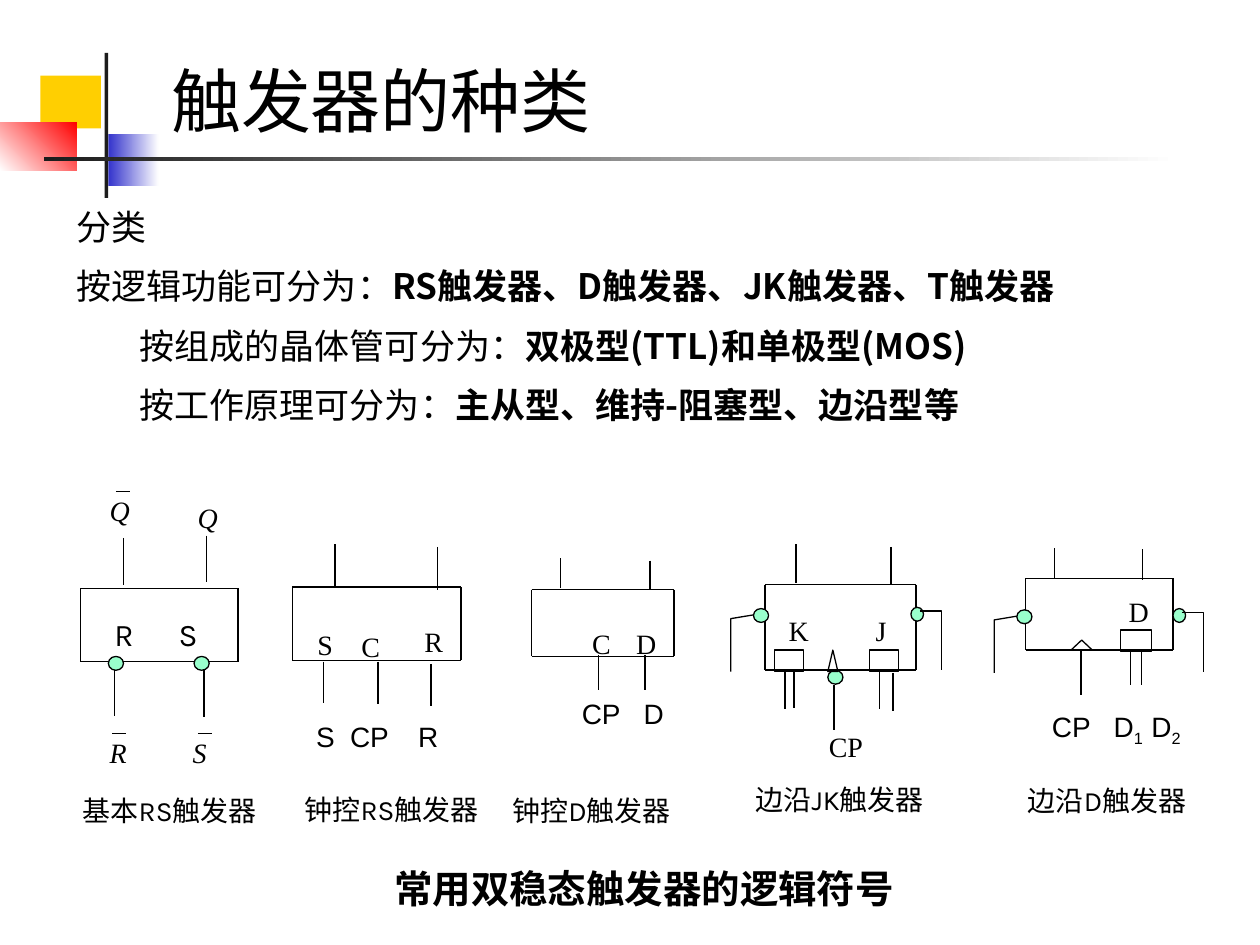
from dataclasses import dataclass

from lxml import etree
from pptx import Presentation
from pptx.dml.color import RGBColor
from pptx.enum.shapes import MSO_CONNECTOR, MSO_SHAPE
from pptx.enum.text import MSO_ANCHOR
from pptx.oxml.ns import qn
from pptx.util import Inches, Pt

RECT, OVAL = MSO_SHAPE.RECTANGLE, MSO_SHAPE.OVAL
TRIANGLE = MSO_SHAPE.ISOSCELES_TRIANGLE
STRAIGHT = MSO_CONNECTOR.STRAIGHT
TOP, BOTTOM = MSO_ANCHOR.TOP, MSO_ANCHOR.BOTTOM


@dataclass(frozen=True)
class Theme:
    ink: str = "000000"
    paper: str = "FFFFFF"
    dark: str = "1C1C1C"
    yellow: str = "FFCF01"
    blue: str = "3333CC"
    red: str = "FF0000"
    bubble: str = "99FFCC"
    sans: str = "Karla"
    body: str = "Noto Sans CJK SC"
    serif: str = "Times New Roman"
    pin: str = "Arial"
    title_size: int = 40
    heading_size: int = 22
    body_size: int = 20
    inner_size: int = 18
    label_size: int = 16
    thin: float = 0.75
    thick: float = 1


class Deck:
    def __init__(self, theme):
        self.theme = theme
        self.prs = Presentation()
        self.prs.slide_width, self.prs.slide_height = Inches(10), Inches(7.5)
        self.slide = self.prs.slides.add_slide(self.prs.slide_layouts[6])
        self.shapes = self.slide.shapes

    def block(self, x, y, w, h, *colors, angle=0):
        """Borderless rectangle, solid for one colour or graded for two."""
        s = self.shapes.add_shape(RECT, Inches(x), Inches(y), Inches(w), Inches(h))
        s.shadow.inherit = False
        s.line.fill.background()
        if len(colors) == 1:
            s.fill.solid()
            s.fill.fore_color.rgb = RGBColor.from_string(colors[0])
            return
        s.fill.gradient()
        s.fill.gradient_angle = angle
        for stop, color in zip(s.fill.gradient_stops, colors):
            stop.color.rgb = RGBColor.from_string(color)

    def ink_line(self, s, width):
        s.line.color.rgb = RGBColor.from_string(self.theme.ink)
        s.line.width = Pt(width)

    def outline(self, kind, x, y, w, h, fill=None):
        s = self.shapes.add_shape(kind, Inches(x), Inches(y), Inches(w), Inches(h))
        s.shadow.inherit = False
        self.ink_line(s, self.theme.thin)
        if fill:
            s.fill.solid()
            s.fill.fore_color.rgb = RGBColor.from_string(fill)
        else:
            s.fill.background()

    def bubble(self, x, y, w=0.12, h=0.11):
        self.outline(OVAL, x, y, w, h, self.theme.bubble)

    def line(self, x1, y1, x2, y2, width=None):
        s = self.shapes.add_connector(
            STRAIGHT, Inches(x1), Inches(y1), Inches(x2), Inches(y2))
        etree.SubElement(s._element.spPr, qn("a:effectLst"))
        self.ink_line(s, width or self.theme.thin)

    def pins(self, *ends, width=None):
        """Vertical lines, each given as x, top, bottom."""
        for x, top, bottom in ends:
            self.line(x, top, x, bottom, width)

    def frame(self, left, top, right, bottom, width=None):
        self.pins((left, top, bottom), (right, top, bottom), width=width)
        for y in (top, bottom):
            self.line(left, y, right, y, width)

    def lead(self, *points):
        """Bent wire through the given points."""
        pts = [(Inches(x), Inches(y)) for x, y in points]
        fb = self.shapes.build_freeform(*pts[0], scale=1.0)
        fb.add_line_segments(pts[1:], close=False)
        s = fb.convert_to_shape()
        s.shadow.inherit = False
        s.fill.background()
        self.ink_line(s, self.theme.thin)

    def text(self, x, y, w, h, paragraphs, size, font, *, italic=False, wrap=True,
             anchor=TOP, insets=(0.1, 0.05), tabs=(), before=0, indents=()):
        """Each paragraph is a list of (text, style), style "", "b" or "sub"."""
        tf = self.shapes.add_textbox(
            Inches(x), Inches(y), Inches(w), Inches(h)).text_frame
        tf.word_wrap = wrap
        tf.vertical_anchor = anchor
        tf.margin_left, tf.margin_top = (Inches(v) for v in insets)
        for i, runs in enumerate(paragraphs):
            p = tf.add_paragraph() if i else tf.paragraphs[0]
            pPr = p._p.get_or_add_pPr()
            if indents and indents[i]:
                pPr.set("marL", str(Inches(indents[i])))
            if tabs:
                tab_list = etree.SubElement(pPr, qn("a:tabLst"))
                for pos in tabs:
                    etree.SubElement(tab_list, qn("a:tab"),
                                     pos=str(Inches(pos)), algn="l")
            if i:
                p.space_before = Pt(before)
            for words, style in runs:
                r = p.add_run()
                r.text = words
                f = r.font
                f.name, f.size = font, Pt(size)
                f.bold, f.italic = style == "b", italic
                f.color.rgb = RGBColor.from_string(self.theme.ink)
                if style == "sub":
                    f._element.set("baseline", "-25000")

    def label(self, x, y, words, w=0.35):
        self.text(x, y, w, 0.37, [[(words, "")]], self.theme.label_size,
                  self.theme.serif, wrap=False)

    def symbol(self, x, y, letter, bar=None):
        """Italic signal name; bar is the left end of its overline."""
        self.text(x, y, 0.44, 0.33, [[(letter, "")]], self.theme.label_size,
                  self.theme.serif, italic=True,
                  insets=(0.06, 0.09) if bar else (0.1, 0.05))
        if bar:
            self.line(bar, y + 0.07, bar + 0.11, y + 0.07)

    def pin_names(self, x, y, w, runs, tabs):
        self.text(x, y, w, 0.37, [runs], self.theme.label_size,
                  self.theme.pin, tabs=tabs)

    def caption(self, x, y, w, words):
        self.text(x, y, w, 0.37, [[(words, "")]], self.theme.label_size,
                  self.theme.sans)

    def side_outputs(self, left, right, y, drop):
        """Bubbled bent wires at both sides of a symbol."""
        self.bubble(left - 0.08, y - 0.05)
        self.lead((left - 0.08, y), (left - 0.26, y + 0.03), (left - 0.26, y + drop))
        self.bubble(right - 0.02, y - 0.06, 0.1, 0.11)
        self.lead((right + 0.05, y - 0.03), (right + 0.22, y - 0.03),
                  (right + 0.22, y + drop - 0.01))


def main():
    t = Theme()
    d = Deck(t)

    # Title decoration
    d.block(0.32, 0.6, 0.48, 0.42, t.yellow)
    d.block(0.86, 1.06, 0.4, 0.42, t.blue, t.paper)
    d.block(0, 0.97, 0.61, 0.38, t.paper, t.red, angle=45)
    d.block(0.83, 0.42, 0.03, 1.15, t.dark)
    d.block(0.35, 1.25, 9, 0.03, t.dark, t.paper)

    # Basic RS
    d.symbol(1.47, 5.75, "S", 1.57)
    d.symbol(0.81, 5.75, "R", 0.89)
    d.symbol(0.81, 3.83, "Q", 0.92)
    d.symbol(1.47, 3.92, "Q")
    d.frame(0.64, 4.67, 1.89, 5.25)
    d.bubble(1.54, 5.21)
    d.bubble(0.86, 5.21)
    d.pins((0.91, 5.32, 5.68), (1.62, 5.32, 5.69),
           (0.98, 4.27, 4.64), (1.64, 4.25, 4.62))
    d.text(0.81, 4.83, 1.25, 0.4, [[("R\tS", "")]], t.inner_size, t.sans,
           tabs=[0.51])
    d.caption(0.56, 6.25, 1.67, "基本RS触发器")

    # Clocked RS
    d.frame(2.32, 4.66, 3.66, 5.24)
    d.pins((2.66, 4.32, 4.66), (3.47, 4.34, 4.68), (2.57, 5.25, 5.58),
           (3.42, 5.27, 5.6), (3, 5.25, 5.59))
    d.label(2.77, 4.95, "C")
    d.label(2.42, 4.93, "S")
    d.label(3.27, 4.91, "R")
    d.pin_names(2.41, 5.66, 1.58, [("S\tCP\tR", "")], [0.27, 0.81])
    d.caption(2.32, 6.24, 1.58, "钟控RS触发器")

    # Clocked D
    d.frame(4.22, 4.68, 5.35, 5.21)
    d.pins((4.75, 5.2, 5.48), (5.12, 5.2, 5.48),
           (4.45, 4.43, 4.67), (5.16, 4.45, 4.68))
    d.label(4.6, 4.92, "C")
    d.label(4.95, 4.92, "D")
    d.pin_names(4.52, 5.48, 1.2, [("CP\tD", "")], [0.49])
    d.caption(3.97, 6.25, 1.67, "钟控D触发器")

    # Edge-triggered JK
    d.frame(6.07, 4.64, 7.27, 5.32, t.thick)
    d.pins((6.32, 4.32, 4.63), (7.07, 4.34, 4.64), (6.3, 5.32, 5.62),
           (7.09, 5.34, 5.64), (6.23, 5.32, 5.63), (6.98, 5.32, 5.63),
           width=t.thick)
    d.label(6.48, 5.74, "CP", 0.5)
    d.label(6.85, 4.82, "J")
    d.label(6.16, 4.82, "K")
    for x in (6.15, 6.9):
        d.outline(RECT, x, 5.16, 0.23, 0.17)
    d.bubble(6.57, 5.32)
    d.pins((6.62, 5.44, 5.79))
    d.outline(TRIANGLE, 6.57, 5.16, 0.08, 0.17)
    d.caption(5.9, 6.16, 1.58, "边沿JK触发器")
    d.side_outputs(6.06, 7.25, 4.88, 0.45)

    # Edge-triggered D
    d.frame(8.14, 4.59, 9.31, 5.16)
    d.pins((8.97, 5.17, 5.44), (9.06, 5.17, 5.44), (8.37, 4.35, 4.59),
           (9.07, 4.36, 4.6), (8.58, 5.17, 5.52))
    d.label(8.86, 4.67, "D")
    d.pin_names(8.25, 5.58, 1.42,
                [("CP\tD", ""), ("1\t", "sub"), ("D", ""), ("2", "sub")],
                [0.49, 0.79])
    d.outline(TRIANGLE, 8.5, 5.08, 0.17, 0.08)
    d.outline(RECT, 8.89, 5, 0.25, 0.17)
    d.caption(8.06, 6.17, 1.75, "边沿D触发器")
    d.side_outputs(8.15, 9.33, 4.89, 0.45)

    # Headings and body
    d.text(3.03, 6.82, 5.08, 0.47, [[("常用双稳态触发器的逻辑符号", "b")]],
           t.heading_size, t.sans)
    d.text(1.26, 0.5, 8.52, 0.67, [[("触发器的种类", "")]], t.title_size, t.sans,
           anchor=BOTTOM)
    d.text(0.51, 1.58, 8.9, 1.93, [
        [("分类", "")],
        [("按逻辑功能可分为：", ""), ("RS触发器、D触发器、JK触发器、T触发器", "b")],
        [("按组成的晶体管可分为：", ""), ("双极型(TTL)和单极型(MOS)", "b")],
        [("按工作原理可分为：", ""), ("主从型、维持-阻塞型、边沿型等", "b")],
    ], t.body_size, t.body, before=10, indents=(0, 0, 0.5, 0.5))

    d.prs.save("out.pptx")


if __name__ == "__main__":
    main()
